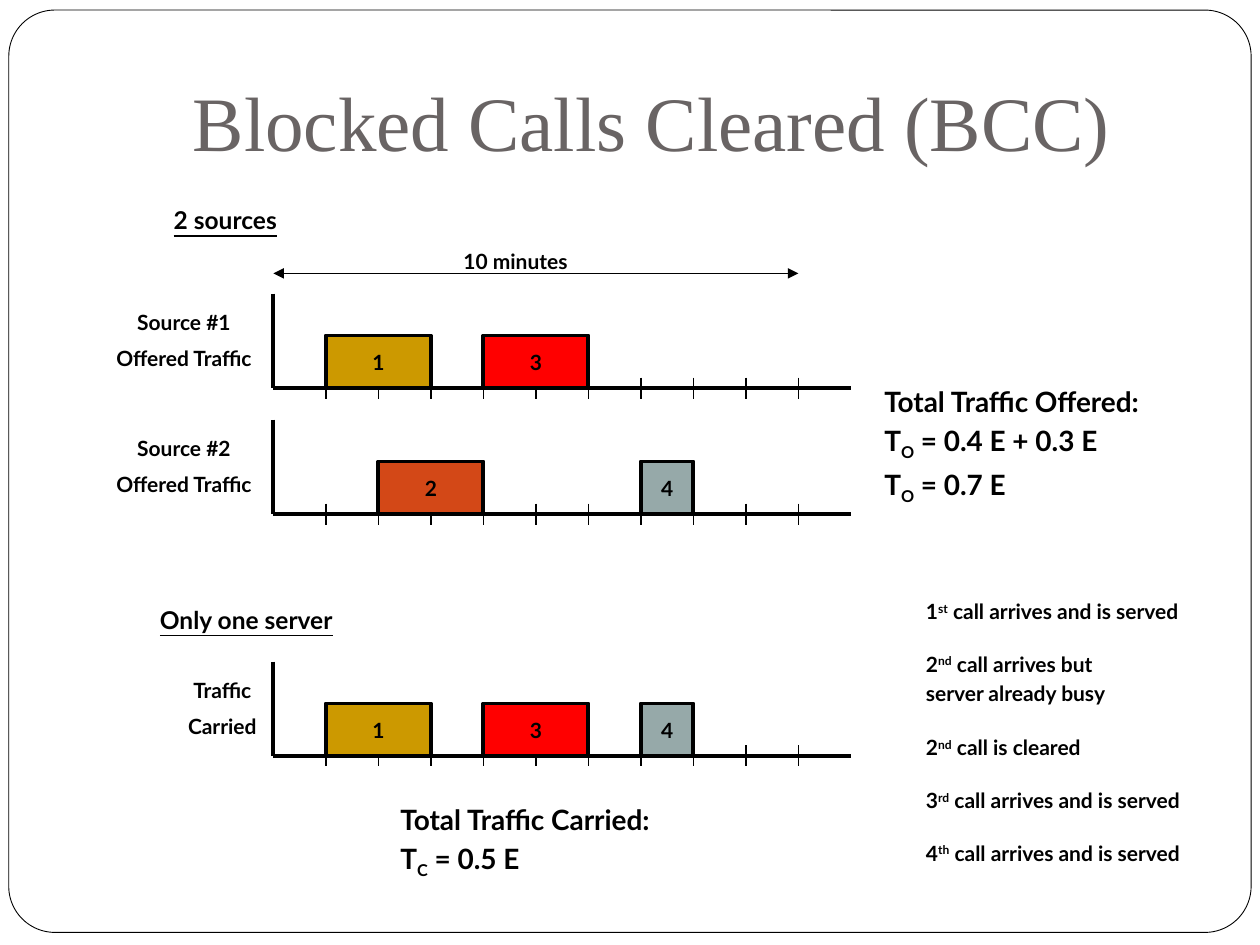
from lxml.etree import SubElement
from pptx import Presentation
from pptx.dml.color import RGBColor
from pptx.enum.shapes import MSO_CONNECTOR, MSO_SHAPE
from pptx.enum.text import MSO_ANCHOR, MSO_AUTO_SIZE, PP_ALIGN
from pptx.oxml.ns import qn
from pptx.util import Inches, Pt

BLACK = "000000"
SLOT = Inches(5) / 12
AXIS_SLOTS = 11
AXIS_HEIGHT = Inches(0.75)
AXIS_LEFT = Inches(2.17)
CALLS = {
    "1": (1, 2, "CC9900"),
    "2": (2, 2, "D34817"),
    "3": (4, 2, "FF0000"),
    "4": (7, 1, "96A9A9"),
}


def color(value):
    return RGBColor.from_string(value)


def apply(target, values):
    for name, value in values.items():
        setattr(target, name, value)


def write(frame, paragraphs, size, spacing=0.2, align=PP_ALIGN.LEFT, baseline=0, **font):
    apply(frame, {"word_wrap": False, "auto_size": MSO_AUTO_SIZE.SHAPE_TO_FIT_TEXT})
    for index, text in enumerate(paragraphs):
        paragraph = frame.paragraphs[0] if index == 0 else frame.add_paragraph()
        apply(paragraph, {"alignment": align, "space_before": Pt(size * spacing)})
        for part, words in enumerate(text.split("|")):
            run = paragraph.add_run()
            run.text = words
            apply(run.font, {"name": "Lato", "size": Pt(size), "bold": True, **font})
            run.font.color.rgb = color(BLACK)
            if part % 2:
                run.font._element.set("baseline", str(baseline * 1000))


def add_text(slide, box, paragraphs, size, **options):
    shape = slide.shapes.add_textbox(*box)
    write(shape.text_frame, paragraphs, size, **options)


def add_line(slide, x1, y1, x2, y2, width, arrows=False):
    points = [round(value) for value in (x1, y1, x2, y2)]
    line = slide.shapes.add_connector(MSO_CONNECTOR.STRAIGHT, *points)
    line.line.color.rgb = color(BLACK)
    line.line.width = Pt(width)
    if arrows:
        for end in ("a:headEnd", "a:tailEnd"):
            SubElement(line.line._get_or_add_ln(), qn(end), type="triangle")
    SubElement(line._element.spPr, qn("a:effectLst"))


def add_box(slide, kind, box, fill, width):
    shape = slide.shapes.add_shape(kind, *[round(value) for value in box])
    shape.shadow.inherit = False
    shape.fill.solid()
    shape.fill.fore_color.rgb = color(fill)
    shape.line.color.rgb = color(BLACK)
    shape.line.width = Pt(width)
    return shape


def add_frame(slide, box):
    frame = add_box(slide, MSO_SHAPE.ROUNDED_RECTANGLE, box, "FFFFFF", 0.5)
    frame.adjustments[0] = 0.05


def add_title(slide, box):
    title = slide.shapes.title
    apply(title, dict(zip(("left", "top", "width", "height"), box)))
    title.text_frame.text = "Blocked Calls Cleared (BCC)"
    apply(title.text_frame, {
        "vertical_anchor": MSO_ANCHOR.TOP,
        "auto_size": MSO_AUTO_SIZE.NONE,
        "margin_top": Inches(0.12),
        "margin_bottom": 0,
    })
    paragraph = title.text_frame.paragraphs[0]
    paragraph.alignment = PP_ALIGN.CENTER
    apply(paragraph.font, {"name": "Times New Roman", "size": Pt(44)})
    paragraph.font.color.rgb = color("696464")


def add_timeline(slide, left, top, label, label_width, calls):
    base = top + AXIS_HEIGHT
    add_line(slide, left, base, left + AXIS_SLOTS * SLOT, base, 2.25)
    add_line(slide, left, top, left, base, 2.25)
    for slot in range(1, AXIS_SLOTS):
        x = left + slot * SLOT
        add_line(slide, x, base - SLOT / 5, x, base + SLOT / 5, 0.75)
    label_box = (left - label_width, top + Inches(0.08), label_width, Inches(0.6))
    add_text(slide, label_box, label, 12, spacing=0.5, align=PP_ALIGN.CENTER)
    for call in calls:
        start, length, fill = CALLS[call]
        box = (left + start * SLOT, base - SLOT, length * SLOT, SLOT)
        block = add_box(slide, MSO_SHAPE.RECTANGLE, box, fill, 2.25)
        write(block.text_frame, [call], 12, spacing=0.5, align=PP_ALIGN.CENTER)
        apply(block.text_frame, {
            "vertical_anchor": MSO_ANCHOR.MIDDLE,
            "auto_size": MSO_AUTO_SIZE.NONE,
        })


def add_duration(slide, left, top):
    add_line(slide, left, top, left + 10 * SLOT, top, 0.75, arrows=True)
    box = (Inches(3.58), top - Inches(0.25), Inches(1.14), Inches(0.3))
    add_text(slide, box, ["10 minutes"], 12)


def add_events(slide, left, top):
    events = [
        (0, 2.52, ["1|st| call arrives and is served"]),
        (0.42, 1.84, ["2|nd| call arrives but", "server already busy"]),
        (1.08, 1.63, ["2|nd| call is cleared"]),
        (1.5, 2.53, ["3|rd| call arrives and is served"]),
        (1.92, 2.53, ["4|th| call arrives and is served"]),
    ]
    for offset, width, lines in events:
        height = 0.06 + 0.24 * len(lines)
        box = (left, top + Inches(offset), Inches(width), Inches(height))
        add_text(slide, box, lines, 12, baseline=30)


def main():
    presentation = Presentation()
    presentation.slide_width = Inches(10)
    presentation.slide_height = Inches(7.5)
    slide = presentation.slides.add_slide(presentation.slide_layouts[5])

    def box(*lengths):
        return [Inches(length) for length in lengths]

    add_frame(slide, box(0.07, 0.08, 9.86, 7.32))
    slide.shapes._spTree.append(slide.shapes.title._element)
    add_title(slide, box(0.66, 0.47, 9.03, 0.7))

    timelines = [
        (2.33, ["Source #1", "Offered Traffic"], 1.42, "13"),
        (3.33, ["Source #2", "Offered Traffic"], 1.42, "24"),
        (5.25, ["Traffic", "Carried"], 0.81, "134"),
    ]
    for top, label, width, calls in timelines:
        add_timeline(slide, AXIS_LEFT, Inches(top), label, Inches(width), calls)
    add_duration(slide, AXIS_LEFT, Inches(2.17))

    headings = [
        ("2 sources", box(1.28, 1.58, 1.13, 0.33)),
        ("Only one server", box(1.17, 4.75, 1.74, 0.33)),
    ]
    for heading, area in headings:
        add_text(slide, area, [heading], 14, underline=True)

    totals = [
        (["Total Traffic Offered:", "T|O| = 0.4 E + 0.3 E", "T|O| = 0.7 E"],
         box(6.92, 3, 2.55, 1.01)),
        (["Total Traffic Carried:", "T|C| = 0.5 E"], box(3.08, 6.32, 2.52, 0.69)),
    ]
    for lines, area in totals:
        add_text(slide, area, lines, 16, baseline=-25)
    add_events(slide, Inches(7.25), Inches(4.7))

    presentation.save("out.pptx")


if __name__ == "__main__":
    main()
